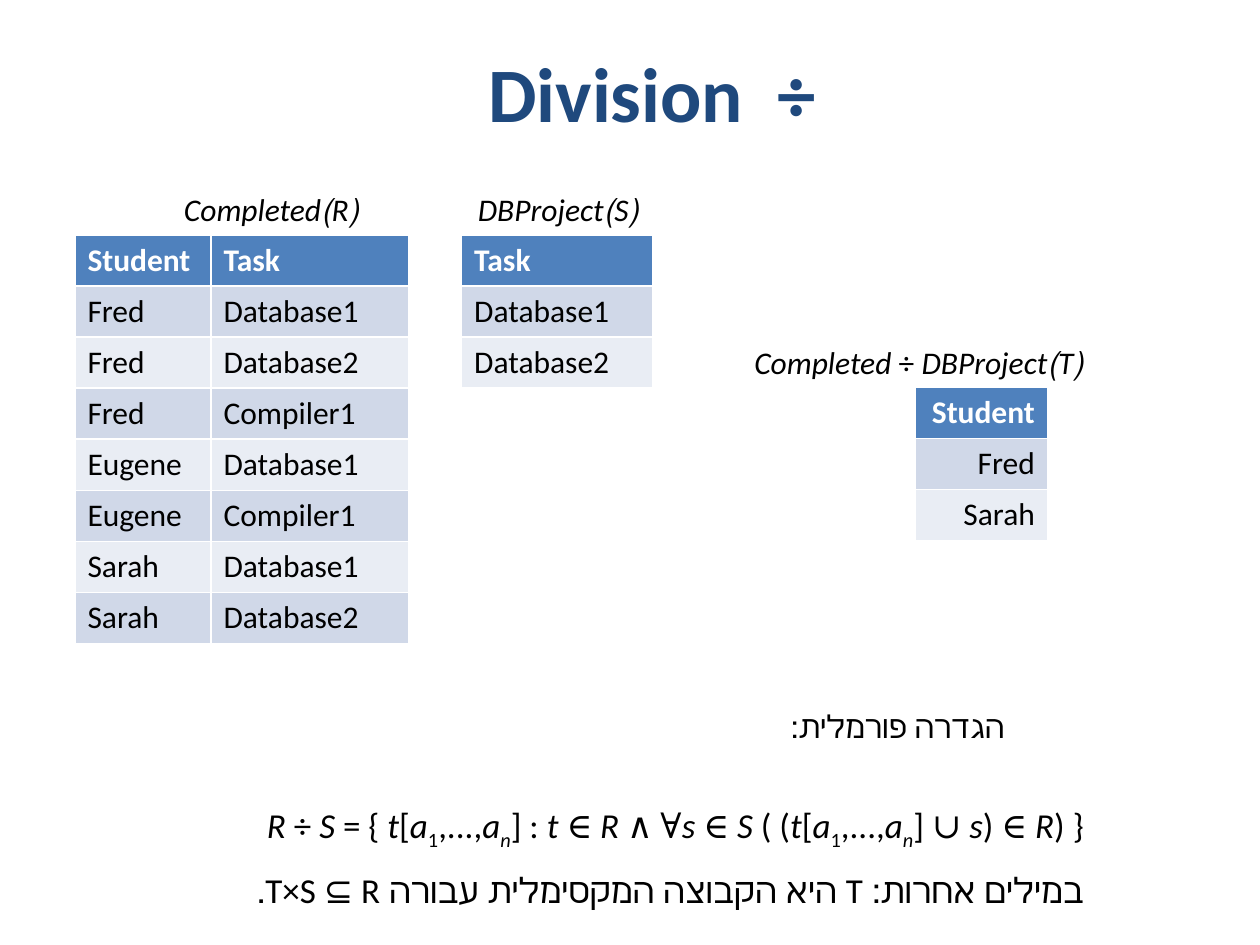
from pptx import Presentation
from pptx import util as u
from pptx.dml.color import RGBColor
from pptx.enum import text

Pt = u.Pt
RIGHT, CENTER = text.PP_ALIGN.RIGHT, text.PP_ALIGN.CENTER


def style(paragraph, size, color="000000", bold=False, italic=False, align=None, rtl=False):
    font = paragraph.font
    font.name, font.size, font.bold, font.italic = "Calibri", Pt(size), bold, italic
    font.color.rgb = RGBColor.from_string(color)
    paragraph.alignment = align
    if rtl:
        paragraph._p.get_or_add_pPr().set("rtl", "1")


def add_text_box(left, top, width, height):
    frame = slide.shapes.add_textbox(Pt(left), Pt(top), Pt(width), Pt(height)).text_frame
    frame.word_wrap = True
    return frame


presentation = Presentation()
presentation.slide_width, presentation.slide_height = Pt(720), Pt(540)
slide = presentation.slides.add_slide(presentation.slide_layouts[6])

completed = [
    ("Student", "Task"),
    ("Fred", "Database1"),
    ("Fred", "Database2"),
    ("Fred", "Compiler1"),
    ("Eugene", "Database1"),
    ("Eugene", "Compiler1"),
    ("Sarah", "Database1"),
    ("Sarah", "Database2"),
]
project = [("Task",), ("Database1",), ("Database2",)]
quotient = [("Student",), ("Fred",), ("Sarah",)]
row_height = 29.2

for left, top, widths, rows, rtl in [
    (42.8, 134.2, (77.8, 113), completed, False),
    (263.8, 134.2, (109.1,), project, False),
    (523, 221.3, (75.6,), quotient, True),
]:
    table = slide.shapes.add_table(
        len(rows), len(widths), Pt(left), Pt(top), Pt(sum(widths)), Pt(row_height * len(rows))
    ).table
    for column, width in zip(table.columns, widths):
        column.width = Pt(width)
    for r, row in enumerate(rows):
        table.rows[r].height = Pt(row_height)
        header = r == 0
        fill = "4F81BD" if header else ("E9EDF4", "D0D8E8")[r % 2]
        for c, value in enumerate(row):
            cell = table.cell(r, c)
            cell.fill.solid()
            cell.fill.fore_color.rgb = RGBColor.from_string(fill)
            cell.text = value
            style(cell.text_frame.paragraphs[0], 18, "FFFFFF" if header else "000000",
                  bold=header, align=RIGHT if rtl else None, rtl=rtl)

for left, top, width, value, italic in [
    (42.5, 105.1, 169.9, "(R)Completed", True),
    (241.9, 105.1, 130.3, "(S)DBProject", True),
    (422.6, 192.2, 203.8, "(T)Completed ÷ DBProject", True),
    (373, 400.3, 208.1, "הגדרה פורמלית:", False),
]:
    paragraph = add_text_box(left, top, width, 29).paragraphs[0]
    before, sign, after = value.partition(" ÷ ")
    for part in filter(None, (before, sign, after)):
        run = paragraph.add_run()
        run.text = part
        if part == sign:
            run.font.italic = False
    style(paragraph, 18, italic=italic, align=RIGHT, rtl=True)

title = add_text_box(140.4, 22.3, 465.1, 99.4).paragraphs[0]
title.text = "Division  ÷"
style(title, 44, "1F497D", bold=True, align=CENTER)

attributes = [("t", "i"), ("[", ""), ("a", "i"), ("1", "s"), (",...,", ""), ("a", "i"), ("n", "is")]
member = ("∈ ", "m")
formula = [
    ("R", "i"), (" ÷ ", ""), ("S", "i"), (" = { ", ""), *attributes,
    ("] : ", ""), ("t ", "i"), member, ("R ", "i"), ("∧ ∀", "m"), ("s ", "i"), member,
    ("S", "i"), (" ( (", ""), *attributes, ("] ", ""), ("∪ ", "m"), ("s", "i"),
    (") ", ""), member, ("R", "i"), (") }", ""),
]
in_words = [("במילים אחרות: T היא הקבוצה המקסימלית עבורה T×S ⊆ R.", "")]

definition = add_text_box(99.4, 453.6, 527, 65.5)
for paragraph, parts in [
    (definition.paragraphs[0], formula),
    (definition.add_paragraph(), in_words),
]:
    for value, marks in parts:
        run = paragraph.add_run()
        run.text = value
        if "i" in marks:
            run.font.italic = True
        if "m" in marks:
            run.font.name = "Cambria"
        if "s" in marks:
            run._r.get_or_add_rPr().set("baseline", "-25000")
    style(paragraph, 20, align=RIGHT, rtl=True)
    paragraph.line_spacing = 1.07
    paragraph.space_after = Pt(8)

presentation.save("out.pptx")
